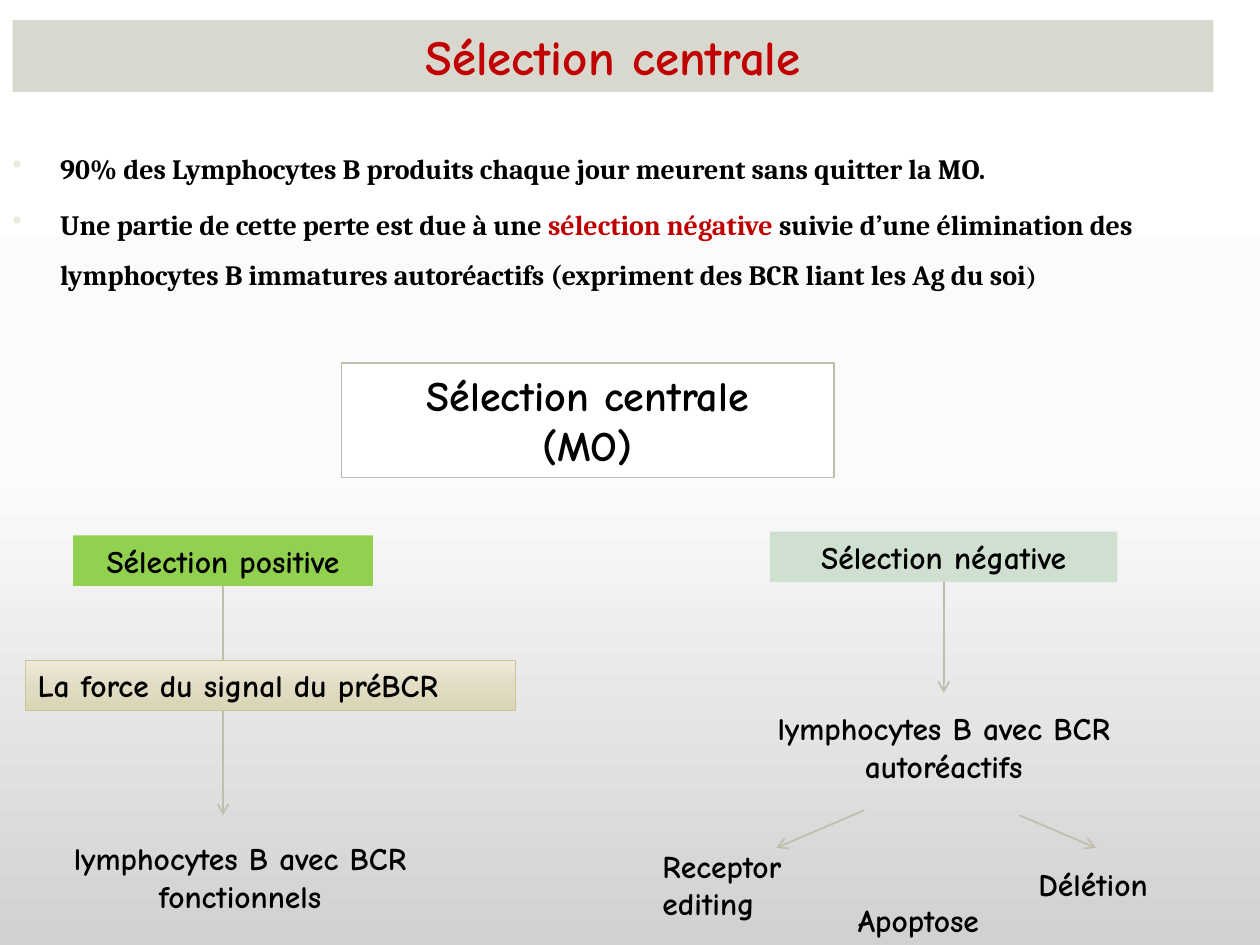
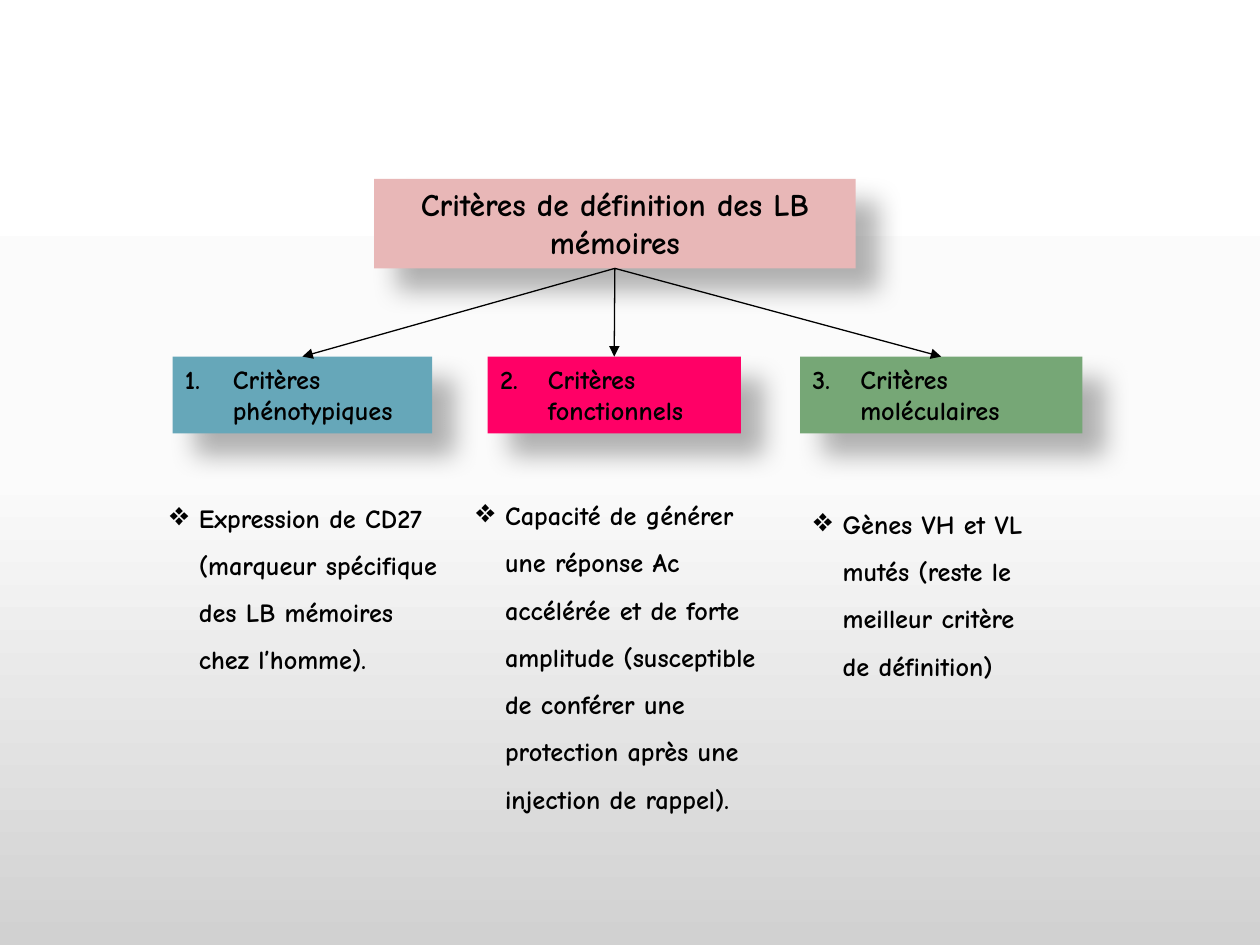
import pptx
import pptx.dml.color
import pptx.enum.shapes
import pptx.enum.text
import pptx.oxml
import pptx.oxml.ns
import pptx.util
from lxml import etree

Inches = pptx.util.Inches
Pt = pptx.util.Pt
qn = pptx.oxml.ns.qn
ALIGN = pptx.enum.text.PP_ALIGN

THEME = {
    "background": [(0, "FFFFFF"), (50, "FBFBFB"), (100, "D1D1D1")],
    "signal": [(0, "EDEADA"), (52, "E2DCC4"), (100, "DAD4B5")],
    "ink": "000000",
    "accent": "C00000",
    "rule": "C0BEAF",
    "signal_edge": "CEC597",
    "bullet": "EAEBDE",
    "band": "D9D8CF",
    "white": "FFFFFF",
    "positive": "92D050",
    "negative": "D0E0D0",
    "root": "E8B7B7",
    "blue": "66A7B9",
    "pink": "FF0066",
    "green": "76A776",
    "display": "Comic Neue",
    "body": "Cambria",
    "title": 28,
    "heading": 24,
    "label": 18,
    "facts": 16,
    "detail": 15,
    "closing": 14,
}

SELECTION_TITLE = ("Sélection centrale", (0.1, 0.16, 9.53, 0.57))
FACTS_AREA = (0, 1.02, 10, 1.37)
FACTS = [
    "90% des Lymphocytes B produits chaque jour meurent sans quitter la MO.",
    [
        ("Une partie de cette perte est due à une ", {}),
        ("sélection négative ", {"color": "accent"}),
        ("suivie d’une élimination des lymphocytes B immatures autoréactifs "
         "(expriment des BCR liant les Ag du soi", {}),
        (")", {"size": "closing"}),
    ],
]
CENTRAL = (["Sélection centrale", "(MO)"], (2.71, 2.88, 3.91, 0.91))
BRANCHES = [
    ("Sélection positive", (0.58, 4.25, 2.38, 0.4), "positive", 6.47),
    ("Sélection négative", (6.11, 4.22, 2.76, 0.4), "negative", 5.5),
]
SIGNAL = ("La force du signal du préBCR", (0.2, 5.24, 3.89, 0.4))
OUTCOMES = [
    ("lymphocytes B avec BCR fonctionnels", (0.11, 6.61, 3.59, 0.71), "CENTER"),
    ("lymphocytes B avec BCR autoréactifs", (5.73, 5.58, 3.52, 0.71), "CENTER"),
    ("Receptor editing", (5.16, 6.67, 1.7, 0.71), "LEFT"),
    ("Délétion", (7.67, 6.82, 2.01, 0.4), "CENTER"),
    ("Apoptose", (6.71, 7.1, 1.31, 0.4), "LEFT"),
]
FATES = [((6.86, 6.43), (6.16, 6.73)), ((8.09, 6.47), (8.7, 6.73))]

CRITERIA_TITLE = ("Critères de définition des LB mémoires", (2.97, 1.42, 3.82, 0.71))
CRITERIA = [
    ("Critères phénotypiques", (1.37, 2.83, 2.06, 0.61), "blue",
     "Expression de CD27 (marqueur spécifique des LB mémoires chez l’homme).",
     (0.98, 3.81, 2.66, 1.99)),
    ("Critères fonctionnels", (3.87, 2.83, 2.01, 0.61), "pink",
     "Capacité de générer une réponse Ac accélérée et de forte amplitude "
     "(susceptible de conférer une protection après une injection de rappel).",
     (3.41, 3.79, 2.85, 3.13)),
    ("Critères moléculaires", (6.35, 2.83, 2.24, 0.61), "green",
     "Gènes VH et VL mutés (reste le meilleur critère de définition)",
     (6.09, 3.86, 2.24, 2.37)),
]


def rgb(name):
    return pptx.dml.color.RGBColor.from_string(THEME[name])


def assign(target, values):
    for attribute, value in values.items():
        setattr(target, attribute, value)


def place(shape, area):
    assign(shape, dict(zip(("left", "top", "width", "height"), map(Inches, area))))


def add_element(parent, tag, **attributes):
    return etree.SubElement(parent, qn(tag), {key: str(value) for key, value in attributes.items()})


def fill_gradient(fill, holder, stops):
    fill.solid()
    solid = holder.find(".//" + qn("a:solidFill"))
    gradient = pptx.oxml.parse_xml(f"<a:gradFill {pptx.oxml.ns.nsdecls('a')}/>")
    stop_list = add_element(gradient, "a:gsLst")
    for position, color in stops:
        stop = add_element(stop_list, "a:gs", pos=position * 1000)
        add_element(stop, "a:srgbClr", val=color)
    add_element(gradient, "a:lin", ang=5400000, scaled=0)
    solid.getparent().replace(solid, gradient)


def add_shadow(shape):
    effects = shape._element.spPr.find(qn("a:effectLst"))
    shadow = add_element(effects, "a:outerShdw", blurRad=Pt(15), dist=Pt(18),
                         dir=45 * 60000, algn="tl", rotWithShape=0)
    color = add_element(shadow, "a:srgbClr", val=THEME["ink"])
    add_element(color, "a:alpha", val=30000)


def indent(paragraph, margin, hanging, tag, color=None, scale=100, **bullet):
    properties = paragraph._p.get_or_add_pPr()
    properties.set("marL", str(Inches(margin)))
    properties.set("indent", str(-Inches(hanging)))
    if color:
        add_element(add_element(properties, "a:buClr"), "a:srgbClr", val=THEME[color])
    add_element(properties, "a:buSzPct", val=scale * 1000)
    add_element(properties, tag, **bullet)


def write(shape, paragraphs, align="CENTER", size="label", font="display",
          color="ink", bullet=None, **spacing):
    frame = shape.text_frame
    assign(frame, {
        "word_wrap": True,
        "vertical_anchor": pptx.enum.text.MSO_ANCHOR.TOP,
        "auto_size": pptx.enum.text.MSO_AUTO_SIZE.NONE,
    })
    for index, content in enumerate(paragraphs):
        paragraph = frame.paragraphs[0] if index == 0 else frame.add_paragraph()
        if bullet:
            indent(paragraph, **bullet)
        assign(paragraph, {"alignment": getattr(ALIGN, align), **spacing})
        if index == 0:
            paragraph.space_before = Pt(0)
        runs = [(content, {})] if isinstance(content, str) else content
        for text, changes in runs:
            run = paragraph.add_run()
            run.text = text
            assign(run.font, {
                "name": THEME[font],
                "size": Pt(THEME[changes.get("size", size)]),
                "bold": True,
            })
            run.font.color.rgb = rgb(changes.get("color", color))


def paint(shape, fill, edge=None, width=1):
    shape.shadow.inherit = False
    shape.fill.solid()
    shape.fill.fore_color.rgb = rgb(fill)
    if edge:
        shape.line.color.rgb = rgb(edge)
        shape.line.width = Pt(width)
    else:
        shape.line.fill.background()


def add_box(slide, area, fill, paragraphs, edge=None, width=1, **style):
    box = slide.shapes.add_shape(pptx.enum.shapes.MSO_SHAPE.RECTANGLE, *map(Inches, area))
    paint(box, fill, edge, width)
    write(box, paragraphs, **style)
    return box


def add_text(slide, area, paragraphs, **style):
    write(slide.shapes.add_textbox(*map(Inches, area)), paragraphs, **style)


def add_titled_slide(deck, title, fill, **style):
    slide = deck.slides.add_slide(deck.slide_layouts[5])
    text, area = title
    place(slide.shapes.title, area)
    paint(slide.shapes.title, fill)
    write(slide.shapes.title, [text], **style)
    return slide


def add_arrow(slide, start, end, color="rule", width=1, head="arrow"):
    arrow = slide.shapes.add_connector(
        pptx.enum.shapes.MSO_CONNECTOR.STRAIGHT, *map(Inches, (*start, *end)))
    arrow.line.color.rgb = rgb(color)
    arrow.line.width = Pt(width)
    properties = arrow._element.spPr
    add_element(properties.find(qn("a:ln")), "a:tailEnd", type=head)
    add_element(properties, "a:effectLst")


def top_center(area):
    left, top, width, _ = area
    return left + width / 2, top


def bottom_center(area):
    left, top, width, height = area
    return left + width / 2, top + height


def build_selection(deck):
    slide = add_titled_slide(deck, SELECTION_TITLE, "band", size="title", color="accent")
    add_text(slide, FACTS_AREA, FACTS, align="LEFT", size="facts", font="body",
             bullet={"margin": 0.38, "hanging": 0.38, "tag": "a:buChar",
                     "color": "bullet", "char": "•"},
             line_spacing=1.5, space_before=Pt(3))
    lines, area = CENTRAL
    add_box(slide, area, "white", lines, edge="rule", size="heading")
    for text, area, fill, arrow_end in BRANCHES:
        add_box(slide, area, fill, [text])
        start = bottom_center(area)
        add_arrow(slide, start, (start[0], arrow_end))
    for start, end in FATES:
        add_arrow(slide, start, end)
    for text, area, align in OUTCOMES:
        add_text(slide, area, [text], align=align)
    text, area = SIGNAL
    signal = add_box(slide, area, "band", [text], edge="signal_edge", width=0.75, align="LEFT")
    fill_gradient(signal.fill, signal._element.spPr, THEME["signal"])


def build_criteria(deck):
    slide = add_titled_slide(deck, CRITERIA_TITLE, "root")
    add_shadow(slide.shapes.title)
    for number, (name, area, fill, detail, detail_area) in enumerate(CRITERIA, 1):
        criterion = add_box(slide, area, fill, [name], align="LEFT", size="detail",
                            bullet={"margin": 0.38, "hanging": 0.38, "tag": "a:buAutoNum",
                                    "type": "arabicPeriod", "startAt": number})
        add_shadow(criterion)
        add_text(slide, detail_area, [detail], align="LEFT", size="detail", line_spacing=1.5,
                 bullet={"margin": 0.5, "hanging": 0.23, "tag": "a:buChar",
                         "scale": 125, "char": "❖"})
        add_arrow(slide, bottom_center(CRITERIA_TITLE[1]), top_center(area),
                  color="ink", width=0.75, head="triangle")


def main():
    deck = pptx.Presentation()
    assign(deck, {"slide_width": Inches(10), "slide_height": Inches(7.5)})
    master = deck.slide_master
    fill_gradient(master.background.fill, master._element.cSld, THEME["background"])
    build_selection(deck)
    build_criteria(deck)
    deck.save("out.pptx")


if __name__ == "__main__":
    main()
